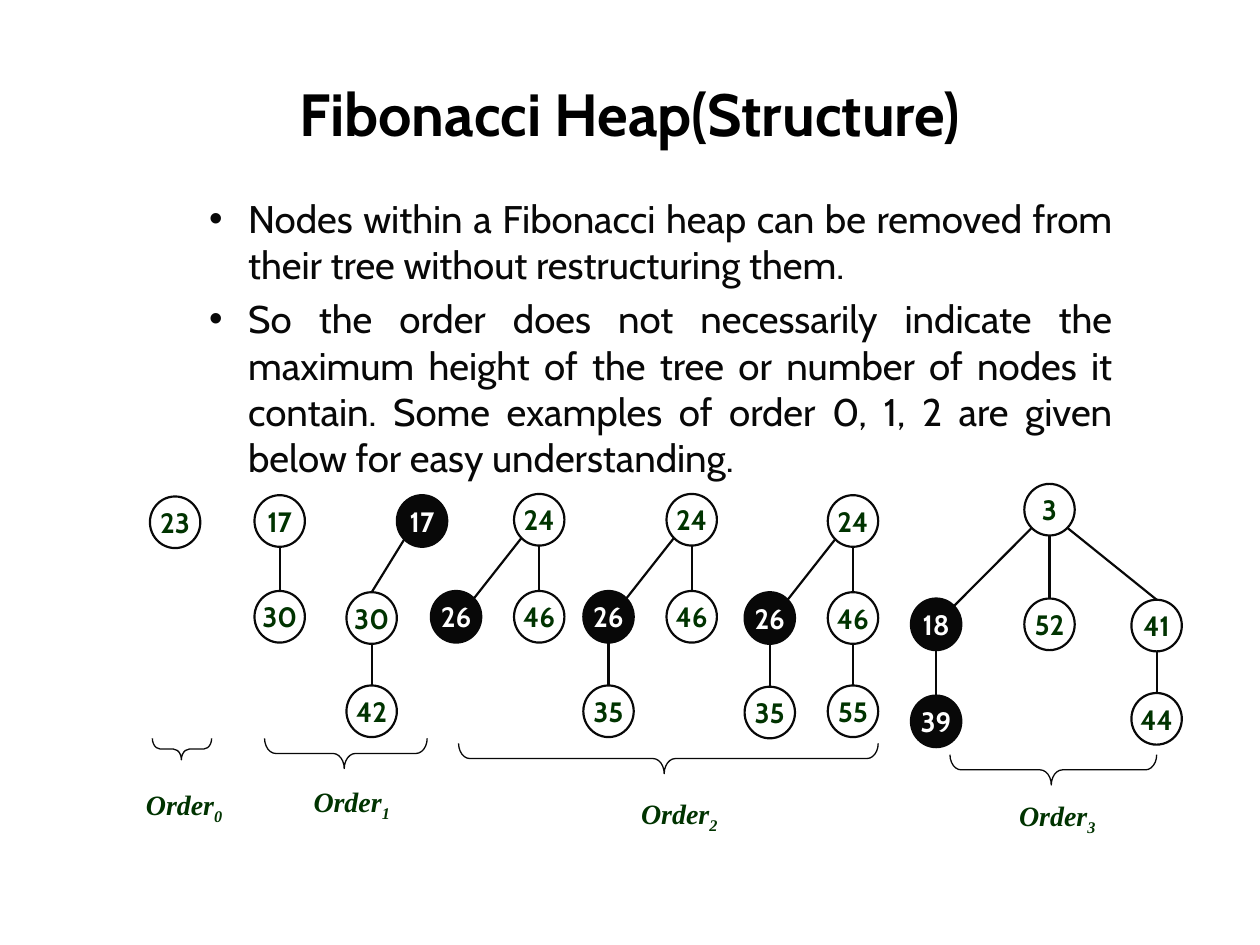
"""Build the Fibonacci heap structure slide."""
from dataclasses import dataclass
from lxml.etree import SubElement
from pptx import Presentation
from pptx.dml.color import RGBColor
from pptx.enum.shapes import MSO_CONNECTOR as Link, MSO_SHAPE as Preset
from pptx.enum.text import MSO_ANCHOR as Anchor, MSO_AUTO_SIZE as Fit, PP_ALIGN as Align
from pptx.oxml.ns import qn
from pptx.util import Pt

SCALE = 9144
NODE_W, NODE_H = 40, 41
CORNER = 0.7


@dataclass(frozen=True)
class Theme:
    """Colours, fonts and type sizes of the slide."""
    title_ink: str = "000000"
    ink: str = "080808"
    paper: str = "FFFFFF"
    key_ink: str = "003300"
    sans: str = "Cabin"
    serif: str = "Times New Roman"
    title_size: int = 34
    body_size: int = 22
    key_size: int = 16
    edge_width: float = 1.25
    brace_width: float = 0.75


@dataclass(frozen=True)
class Node:
    """A heap node; corner tells that its edge leaves from the upper right."""
    key: str
    x: int
    y: int
    children: tuple = ()
    marked: bool = False
    corner: bool = False


THEME = Theme()

TITLE = "Fibonacci Heap(Structure)"
POINTS = (
    "Nodes within a Fibonacci heap can be removed from their tree "
    "without restructuring them.",
    "So the order does not necessarily indicate the maximum height of the tree "
    "or number of nodes it contain. Some examples of order 0, 1, 2 are given "
    "below for easy understanding.",
)
TREES = (
    Node("23", 119, 394),
    Node("17", 202, 393, (Node("30", 202, 469),)),
    Node("17", 315, 393, (Node("30", 275, 470, (Node("42", 275, 544),)),), marked=True),
    Node("24", 408, 392, (
        Node("26", 342, 469, marked=True, corner=True),
        Node("46", 408, 469))),
    Node("24", 529, 392, (
        Node("26", 463, 469, (Node("35", 463, 544),), marked=True, corner=True),
        Node("46", 529, 469))),
    Node("24", 657, 393, (
        Node("26", 591, 470, (Node("35", 591, 545),), marked=True, corner=True),
        Node("46", 657, 470, (Node("55", 657, 544),)))),
    Node("3", 813, 384, (
        Node("18", 723, 475, (Node("39", 723, 552, marked=True),),
             marked=True, corner=True),
        Node("52", 813, 475),
        Node("41", 898, 476, (Node("44", 898, 550),)))),
)
BRACES = ((121, 586, 47, 17), (210, 586, 129, 24), (364, 590, 333, 24), (754, 599, 164, 24))
LABEL_SPOTS = ((106, 620), (239, 618), (499, 627), (799, 629))


def emu(*lengths):
    """Turn px lengths into EMU."""
    return [round(length * SCALE) for length in lengths]


def rgb(colour):
    """Return the colour for a hex string."""
    return RGBColor.from_string(colour)


def add_run(paragraph, text, size, font, colour, bold=False, italic=False):
    """Add one formatted run to a paragraph."""
    run = paragraph.add_run()
    run.text = text
    run.font.size, run.font.name = Pt(size), font
    run.font.bold, run.font.italic = bold, italic
    run.font.color.rgb = rgb(colour)
    return run


def place(shape, *box):
    """Move and size a shape to a px box."""
    shape.left, shape.top, shape.width, shape.height = emu(*box)


def fill_title(title):
    """Write the heading into the title placeholder."""
    place(title, 50, 50, 900, 79)
    frame = title.text_frame
    frame.auto_size, frame.vertical_anchor = Fit.NONE, Anchor.MIDDLE
    heading = frame.paragraphs[0]
    heading.alignment = Align.CENTER
    add_run(heading, TITLE, THEME.title_size, THEME.sans, THEME.title_ink, bold=True)


def fill_points(body):
    """Write the bulleted points into the body placeholder."""
    place(body, 106, 150, 787, 234)
    frame = body.text_frame
    frame.auto_size, frame.vertical_anchor = Fit.NONE, Anchor.TOP
    margin, hanging = emu(81, -31)
    for index, text in enumerate(POINTS):
        point = frame.add_paragraph() if index else frame.paragraphs[0]
        point.level, point.alignment = 1, Align.JUSTIFY
        point.space_before = Pt(0.2 * THEME.body_size if index else 0)
        props = point._p.get_or_add_pPr()
        props.set("marL", str(margin))
        props.set("indent", str(hanging))
        SubElement(props, qn("a:buFont")).set("typeface", "Arial")
        SubElement(props, qn("a:buChar")).set("char", "•")
        add_run(point, text, THEME.body_size, THEME.sans, THEME.ink)


def rim(node, across, down):
    """Return a point on a node's rim, in half widths and heights from its centre."""
    return (node.x + NODE_W / 2 * (1 + across), node.y + NODE_H / 2 * (1 + down))


def add_edge(slide, parent, child):
    """Draw the line from a child up to its parent."""
    side = (child.x > parent.x) - (child.x < parent.x)
    start = rim(child, CORNER, -CORNER) if child.corner else rim(child, 0, -1)
    end = rim(parent, side * CORNER, CORNER if side else 1)
    edge = slide.shapes.add_connector(Link.STRAIGHT, *emu(*start, *end))
    edge.line.color.rgb, edge.line.width = rgb(THEME.ink), Pt(THEME.edge_width)
    SubElement(edge._element.spPr, qn("a:effectLst"))


def add_node(slide, node):
    """Draw a node circle with its key."""
    circle = slide.shapes.add_shape(Preset.OVAL, *emu(node.x, node.y, NODE_W, NODE_H))
    circle.shadow.inherit = False
    circle.fill.solid()
    circle.fill.fore_color.rgb = rgb(THEME.ink if node.marked else THEME.paper)
    circle.line.color.rgb, circle.line.width = rgb(THEME.ink), Pt(THEME.edge_width)
    frame = circle.text_frame
    frame.word_wrap, frame.vertical_anchor = False, Anchor.MIDDLE
    key = frame.paragraphs[0]
    key.alignment = Align.CENTER
    key_colour = THEME.paper if node.marked else THEME.key_ink
    add_run(key, node.key, THEME.key_size, THEME.sans, key_colour, bold=True)


def add_tree(slide, root):
    """Draw a root and, recursively, its subtrees."""
    for child in root.children:
        add_edge(slide, root, child)
        add_tree(slide, child)
    add_node(slide, root)


def add_brace(slide, left, top, width, height):
    """Draw a brace turned to point down, filling the given px box."""
    shift = (width - height) / 2
    brace = slide.shapes.add_shape(
        Preset.LEFT_BRACE, *emu(left + shift, top - shift, height, width))
    brace.rotation = 270
    brace.adjustments[0], brace.adjustments[1] = 0.37, 0.49
    brace.shadow.inherit = False
    brace.fill.background()
    brace.line.color.rgb, brace.line.width = rgb(THEME.ink), Pt(THEME.brace_width)


def add_order_label(slide, order, left, top):
    """Write an order name with its number as subscript."""
    frame = slide.shapes.add_textbox(*emu(left, top, 96, 37)).text_frame
    frame.word_wrap = True
    label = frame.paragraphs[0]
    style = (THEME.key_size, THEME.serif, THEME.key_ink, True, True)
    add_run(label, "Order", *style)
    number = add_run(label, str(order), *style)
    number.font._element.set("baseline", "-25000")


def main():
    """Build and save the slide."""
    deck = Presentation()
    deck.slide_width, deck.slide_height = emu(1000, 750)
    slide = deck.slides.add_slide(deck.slide_layouts[1])
    fill_title(slide.shapes.title)
    fill_points(slide.placeholders[1])
    for root in TREES:
        add_tree(slide, root)
    for order, (brace_box, label_spot) in enumerate(zip(BRACES, LABEL_SPOTS)):
        add_brace(slide, *brace_box)
        add_order_label(slide, order, *label_spot)
    deck.save("out.pptx")


if __name__ == "__main__":
    main()
